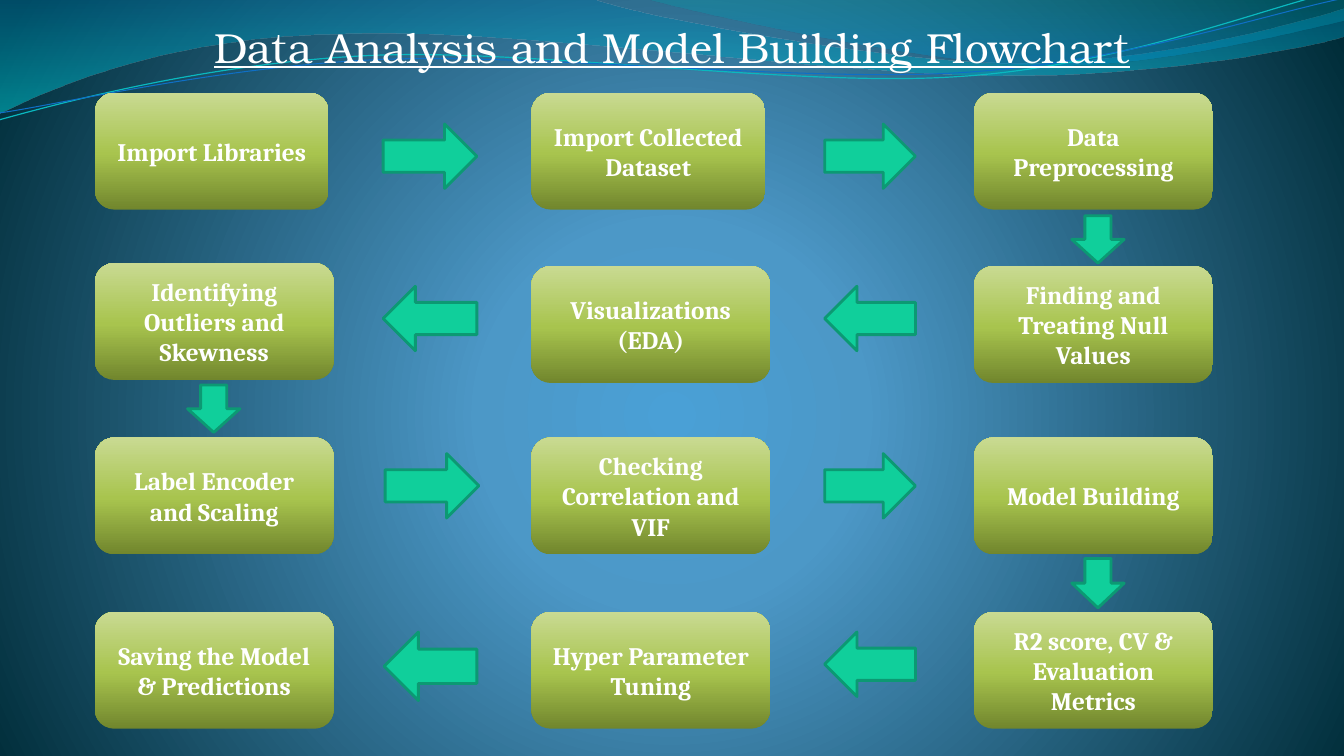
from math import cos, radians, sin

from lxml.etree import SubElement
from pptx import Presentation
from pptx.dml.color import RGBColor
from pptx.enum.shapes import MSO_SHAPE
from pptx.enum.text import MSO_ANCHOR, MSO_AUTO_SIZE, PP_ALIGN
from pptx.oxml.ns import qn
from pptx.util import Inches, Pt

WHITE = RGBColor(0xFF, 0xFF, 0xFF)
ARROW_FILL = RGBColor(0x10, 0xCF, 0x9B)
ARROW_LINE = RGBColor(0x0C, 0x99, 0x73)
TEAL = RGBColor(0x0A, 0xB8, 0xBF)
BLUE = RGBColor(0x0F, 0x6F, 0xC6)

# Gradient stops: position %, colour, opacity %
BACKGROUND_STOPS = [(0, RGBColor(0x4A, 0xA0, 0xD6), 100), (25, RGBColor(0x4C, 0x98, 0xC7), 100),
                    (100, RGBColor(0x00, 0x2C, 0x38), 100)]
BOX_STOPS = [(0, RGBColor(0x71, 0x86, 0x2D), 100), (48, RGBColor(0xA8, 0xC4, 0x4E), 100),
             (100, RGBColor(0xC9, 0xDA, 0x92), 100)]
LEFT_WAVE_STOPS = [(0, RGBColor(0x00, 0x74, 0xA1), 45), (100, RGBColor(0x00, 0xC6, 0xCF), 55)]
RIGHT_WAVE_STOPS = [(0, RGBColor(0x00, 0xA1, 0xA9), 30), (80, RGBColor(0x00, 0x8B, 0xBF), 45)]

# Frame, then outline in inches: two numbers are a straight step, six a cubic curve
FILLED_WAVES = [
    ((-0.01, -0.01, 13.36, 1.14),
     [(0, 0), (5.87, -0.01), (6.34, 0.17, 8.85, 0.63, 10.11, 0.63),
      (11.38, 0.63, 12.78, 0.26, 13.33, 0.09), (13.35, 0.36),
      (13.11, 0.44, 11.6, 0.76, 9.94, 0.75), (8.29, 0.75, 5.09, 0.28, 3.43, 0.34),
      (1.72, 0.36, 0.61, 0.83, -0.01, 1.13), (0, 0)], LEFT_WAVE_STOPS),
    ((6.39, -0.01, 6.94, 0.7),
     [(6.39, -0.01), (6.79, 0.11, 9.09, 0.62, 10.25, 0.65),
      (11.41, 0.69, 12.82, 0.32, 13.33, 0.21), (13.33, 0), (6.39, -0.01)], RIGHT_WAVE_STOPS),
]
LINE_WAVES = [
    ((-0.03, 0.22, 13.36, 0.71),
     [(-0.01, 1.19), (0.64, 1.01, 2.11, 0.62, 3.69, 0.55), (5.27, 0.48, 7.9, 0.87, 9.5, 0.76),
      (11.1, 0.66, 12.52, 0.08, 13.31, -0.1)], TEAL, 0.85),
    ((-0.02, 0.3, 13.38, 0.58),
     [(0, 1.12), (0.63, 1.03, 2.18, 0.66, 3.78, 0.59), (5.37, 0.53, 7.96, 0.82, 9.55, 0.72),
      (11.15, 0.62, 12.55, 0.14, 13.34, -0.02)], BLUE, 0.75),
]
LINE_TILT = -2.7

TITLE = "Data Analysis and Model Building Flowchart"
# Each row from left to right; the flow runs right, then left, and so on
ROWS = [
    ["Import Libraries", "Import Collected Dataset", "Data Preprocessing"],
    ["Identifying Outliers and Skewness", "Visualizations\n(EDA)", "Finding and Treating Null Values"],
    ["Label Encoder and Scaling", "Checking Correlation and VIF", "Model Building"],
    ["Saving the Model & Predictions", "Hyper Parameter Tuning", "R2 score, CV & Evaluation Metrics"],
]
ROW_TOPS = [0.92, 2.64, 4.34, 6.07]
COLUMN_LEFTS = [0.94, 5.27, 9.66]
BOX_WIDTH, BOX_HEIGHT = 2.37, 1.16
NARROW_WIDTH = 2.32
RAISED_TOP = 2.61
# Top of each row of arrows, then left, width and height of its first arrow
ARROW_ROWS = [(1.23, (3.8, 0.93, 0.64)), (2.84, (3.8, 0.93, 0.64)),
              (4.5, (3.82, 0.93, 0.64)), (6.27, (3.81, 0.92, 0.68))]
SECOND_ARROW = (8.18, 0.9, 0.64)
DOWN_ARROWS = [(10.63, 2.14, 0.47), (1.86, 3.82, 0.47), (10.63, 5.54, 0.49)]
DOWN_WIDTH = 0.52


def set_gradient(fill, properties, stops, angle=None):
    """Gradient in the drawing's clockwise angle; without one it is a circle."""
    fill.background()
    empty = properties.find(qn("a:noFill"))
    gradient = properties.makeelement(qn("a:gradFill"), {"rotWithShape": "1"})
    properties.replace(empty, gradient)
    stop_list = SubElement(gradient, qn("a:gsLst"))
    for position, color, opacity in stops:
        stop = SubElement(stop_list, qn("a:gs"), pos=str(position * 1000))
        value = SubElement(stop, qn("a:srgbClr"), val=str(color))
        if opacity < 100:
            SubElement(value, qn("a:alpha"), val=str(opacity * 1000))
    if angle is None:
        circle = SubElement(gradient, qn("a:path"), {"path": "circle"})
        SubElement(circle, qn("a:fillToRect"), l="10000", t="110000", r="10000", b="100000")
    else:
        SubElement(gradient, qn("a:lin"), ang=str(angle * 60000), scaled="0")


def add_wave(slide, frame, outline, close, tilt=0):
    """Freeform in its frame, with true curves; the outline is given as seen after the tilt."""
    left, top, width, height = frame
    turn = radians(-tilt)

    def place(x, y):
        across, down = x - left - width / 2, y - top - height / 2
        return (Inches(across * cos(turn) - down * sin(turn) + width / 2),
                Inches(across * sin(turn) + down * cos(turn) + height / 2))

    steps = [[place(*step[i:i + 2]) for i in range(0, len(step), 2)] for step in outline]
    builder = slide.shapes.build_freeform(*steps[0][-1])
    builder.add_line_segments([step[-1] for step in steps[1:]], close=close)
    wave = builder.convert_to_shape()
    wave.shadow.inherit = False
    wave.left, wave.top, wave.width, wave.height = map(Inches, frame)
    wave.rotation = tilt

    track = wave.element.spPr.find(".//" + qn("a:path"))
    track.set("w", str(Inches(width)))
    track.set("h", str(Inches(height)))
    for node, points in zip(list(track), steps):
        tag = qn("a:cubicBezTo") if len(points) == 3 else node.tag
        segment = track.makeelement(tag, {})
        track.replace(node, segment)
        for x, y in points:
            SubElement(segment, qn("a:pt"), x=str(x), y=str(y))
    return wave


def add_preset(slide, kind, left, top, width, height):
    shape = slide.shapes.add_shape(kind, Inches(left), Inches(top), Inches(width), Inches(height))
    shape.shadow.inherit = False
    return shape


def add_arrow(slide, kind, left, top, width, height):
    arrow = add_preset(slide, kind, left, top, width, height)
    arrow.fill.solid()
    arrow.fill.fore_color.rgb = ARROW_FILL
    arrow.line.color.rgb = ARROW_LINE
    arrow.line.width = Pt(2)


def write_text(frame, text, font_name, size):
    frame.word_wrap = True
    frame.text = text
    for paragraph in frame.paragraphs:
        paragraph.alignment = PP_ALIGN.CENTER
        paragraph.font.name = font_name
        paragraph.font.size = Pt(size)
        paragraph.font.color.rgb = WHITE


def add_step(slide, text, left, top, width):
    box = add_preset(slide, MSO_SHAPE.FLOWCHART_ALTERNATE_PROCESS, left, top, width, BOX_HEIGHT)
    set_gradient(box.fill, box.element.spPr, BOX_STOPS, 270)
    box.line.fill.background()
    box.text_frame.vertical_anchor = MSO_ANCHOR.MIDDLE
    write_text(box.text_frame, text, "Cambria", 18)
    for paragraph in box.text_frame.paragraphs:
        paragraph.font.bold = True


def main():
    presentation = Presentation()
    presentation.slide_width, presentation.slide_height = Inches(13.33), Inches(7.5)
    slide = presentation.slides.add_slide(presentation.slide_layouts[6])
    background_fill = slide.background.fill
    background_fill.background()
    set_gradient(background_fill, slide.element.find(".//" + qn("p:bgPr")), BACKGROUND_STOPS)

    for frame, outline, stops in FILLED_WAVES:
        wave = add_wave(slide, frame, outline, close=True)
        set_gradient(wave.fill, wave.element.spPr, stops, 90)
        wave.line.fill.background()
    for frame, outline, color, width in LINE_WAVES:
        wave = add_wave(slide, frame, outline, close=False, tilt=LINE_TILT)
        wave.fill.background()
        wave.line.color.rgb = color
        wave.line.width = Pt(width)

    title = slide.shapes.add_textbox(0, Inches(0.16), Inches(13.33), Inches(0.61))
    title.text_frame.auto_size = MSO_AUTO_SIZE.SHAPE_TO_FIT_TEXT
    write_text(title.text_frame, TITLE, "TeX Gyre Bonum", 30)
    title.text_frame.paragraphs[0].font.underline = True

    for row, (top, first_arrow) in enumerate(ARROW_ROWS):
        kind = MSO_SHAPE.LEFT_ARROW if row % 2 else MSO_SHAPE.RIGHT_ARROW
        for left, width, height in (first_arrow, SECOND_ARROW):
            add_arrow(slide, kind, left, top, width, height)
    for left, top, height in DOWN_ARROWS:
        add_arrow(slide, MSO_SHAPE.DOWN_ARROW, left, top, DOWN_WIDTH, height)

    for row, labels in enumerate(ROWS):
        for column, label in enumerate(labels):
            top = RAISED_TOP if (row, column) == (1, 0) else ROW_TOPS[row]
            width = NARROW_WIDTH if row == 0 and column < 2 else BOX_WIDTH
            add_step(slide, label, COLUMN_LEFTS[column], top, width)

    presentation.save("out.pptx")


if __name__ == "__main__":
    main()
